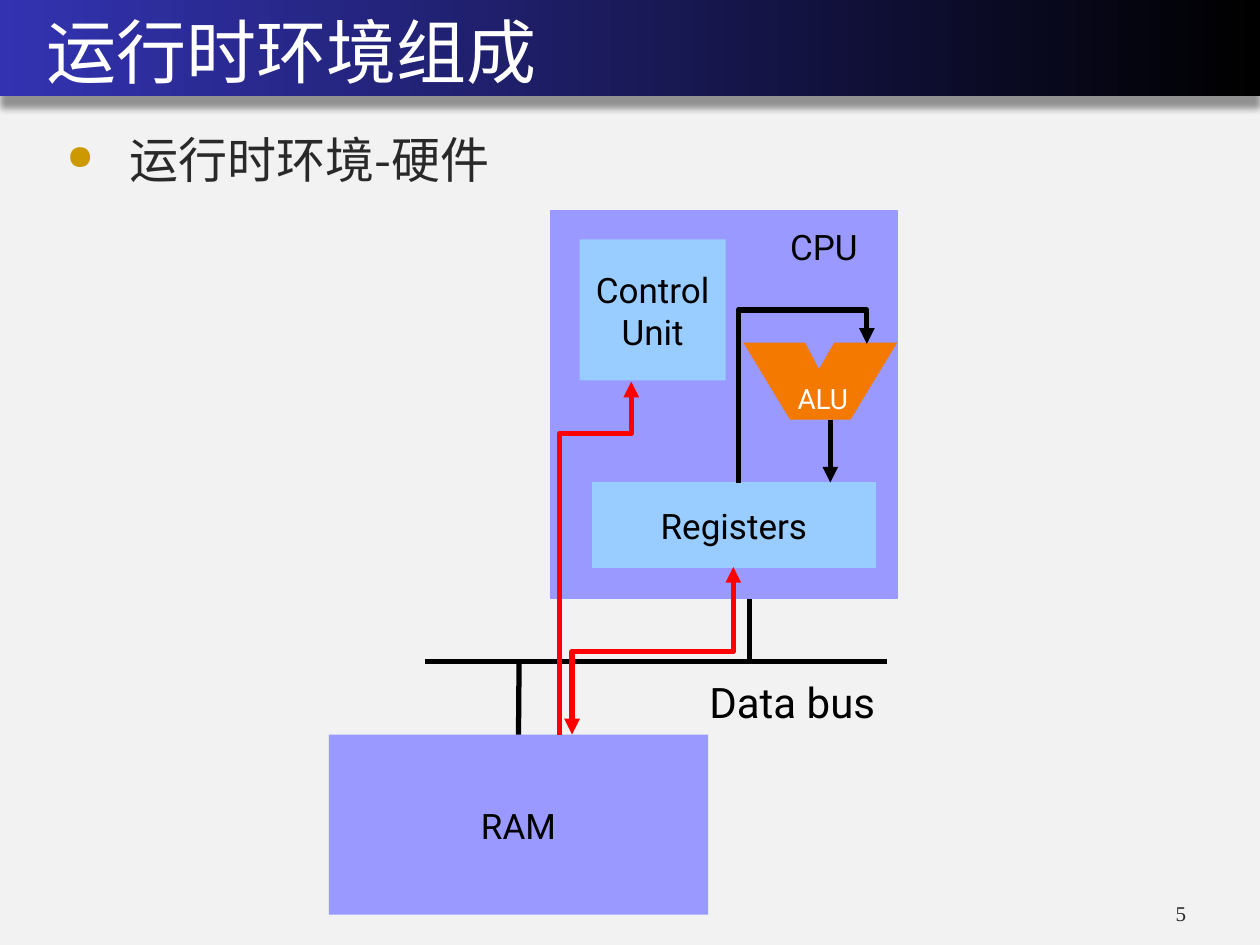
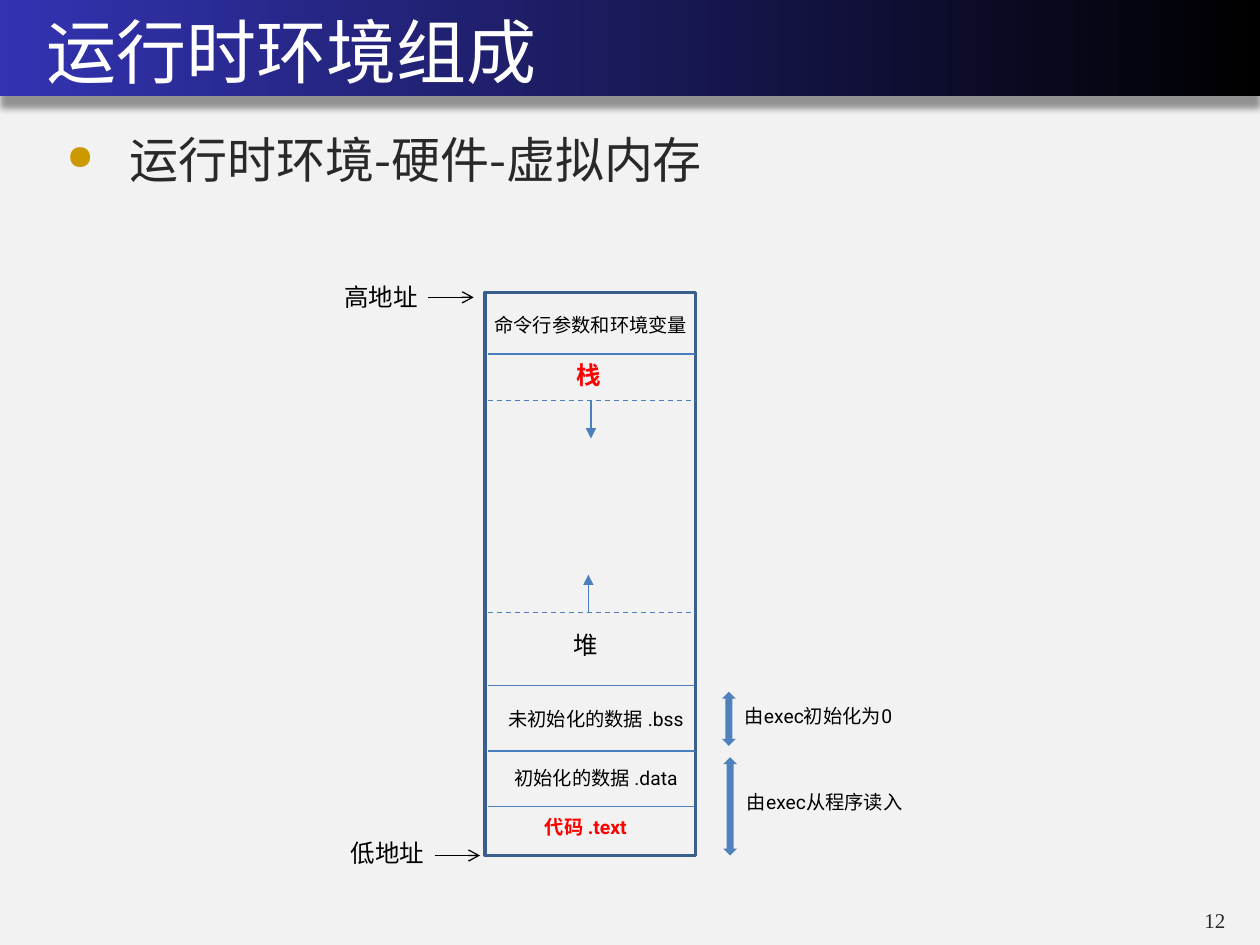
from lxml import etree
from pptx import Presentation
from pptx.dml.color import RGBColor
from pptx.enum.dml import MSO_LINE
from pptx.enum.shapes import MSO_CONNECTOR, MSO_SHAPE
from pptx.enum.text import MSO_ANCHOR, PP_ALIGN
from pptx.oxml.ns import qn
from pptx.util import Inches, Pt

RECT, UP_DOWN = MSO_SHAPE.RECTANGLE, MSO_SHAPE.UP_DOWN_ARROW
STRAIGHT, DASH = MSO_CONNECTOR.STRAIGHT, MSO_LINE.DASH
LEFT, CENTER = PP_ALIGN.LEFT, PP_ALIGN.CENTER
TOP, MIDDLE = MSO_ANCHOR.TOP, MSO_ANCHOR.MIDDLE

HAN, LATIN, SERIF = "Noto Sans CJK SC", "Roboto", "Times New Roman"
PAPER, INK, GOLD, NAVY = "F2F2F2", "292929", "CC9900", "3333B2"
BLACK, WHITE, RED, ORANGE = "000000", "FFFFFF", "FF0000", "F47900"
LILAC, SKY = "9999FF", "99CCFF"
FRAME, RULE, SPAN = "3A5F8C", "4B7EBC", "4F81BD"


def color(code):
    return RGBColor.from_string(code)


def add_xml(parent, tag, **attrs):
    return etree.SubElement(parent, qn(tag), attrs)


def write(shape, words, size=20, font=LATIN, ink=BLACK, bold=False,
          align=CENTER, anchor=TOP, inset=0.01, bullet=False, lead=None):
    frame = shape.text_frame
    frame.word_wrap = True
    frame.vertical_anchor = anchor
    frame.margin_left = frame.margin_right = frame.margin_bottom = 0
    frame.margin_top = Inches(inset)
    for i, line in enumerate(words.split("\n")):
        para = frame.add_paragraph() if i else frame.paragraphs[0]
        para.alignment = align
        if lead:
            para.line_spacing = Pt(lead)
        if bullet:
            add_bullet(para)
        run = para.add_run()
        run.text = line
        run.font.size, run.font.bold, run.font.name = Pt(size), bold, font
        run.font.color.rgb = color(ink)
        add_xml(run.font._element, "a:ea", typeface=HAN)


def add_bullet(para):
    props = para._p.get_or_add_pPr()
    props.set("marL", str(Inches(0.5)))
    props.set("indent", str(-Inches(0.5)))
    add_xml(add_xml(props, "a:buClr"), "a:srgbClr", val=GOLD)
    add_xml(props, "a:buSzPct", val="70000")
    add_xml(props, "a:buChar", char="●")


def label(slide, words, x, y, w, h, **style):
    box = slide.shapes.add_textbox(Inches(x), Inches(y), Inches(w), Inches(h))
    write(box, words, **style)


def block(slide, x, y, w, h, fill=None, edge=None, width=0.72, kind=RECT):
    shape = slide.shapes.add_shape(
        kind, Inches(x), Inches(y), Inches(w), Inches(h))
    shape.shadow.inherit = False
    paint(shape, fill, edge, width)
    return shape


def paint(shape, fill, edge, width):
    if fill:
        shape.fill.solid()
        shape.fill.fore_color.rgb = color(fill)
    else:
        shape.fill.background()
    if edge:
        shape.line.color.rgb = color(edge)
        shape.line.width = Pt(width)
    else:
        shape.line.fill.background()


def add_tips(shape, head, tail):
    """Put arrowheads at the start (head) and the end (tail) of a line."""
    outline = shape._element.spPr.find(qn("a:ln"))
    for tag, tip in (("a:headEnd", head), ("a:tailEnd", tail)):
        if tip:
            add_xml(outline, tag, type=tip)


def wire(slide, x1, y1, x2, y2, ink=BLACK, width=3, dash=None,
         head=None, tail=None):
    line = slide.shapes.add_connector(
        STRAIGHT, Inches(x1), Inches(y1), Inches(x2), Inches(y2))
    line.line.color.rgb = color(ink)
    line.line.width = Pt(width)
    if dash:
        line.line.dash_style = dash
    add_tips(line, head, tail)
    add_xml(line._element.spPr, "a:effectLst")
    return line


def outline(slide, x, y, points, fill=None, edge=None, head=None, tail=None):
    """Draw points relative to x, y: closed if filled, else an open route."""
    spots = [(Inches(x + dx), Inches(y + dy)) for dx, dy in points]
    pen = slide.shapes.build_freeform(*spots[0])
    pen.add_line_segments(spots[1:], close=bool(fill))
    shape = pen.convert_to_shape()
    shape.shadow.inherit = False
    paint(shape, fill, edge, 3)
    add_tips(shape, head, tail)


def add_band(slide, w, h):
    band = block(slide, 0, 0, w, h)
    band.fill.gradient()
    band.fill.gradient_angle = 180
    for stop, code in zip(band.fill.gradient_stops, (BLACK, NAVY)):
        stop.color.rgb = color(code)
    effects = band._element.spPr.find(qn("a:effectLst"))
    shade = add_xml(effects, "a:outerShdw", blurRad=str(Pt(4)),
                    dist=str(Pt(7)), dir="5400000", rotWithShape="0")
    tint = add_xml(shade, "a:srgbClr", val=BLACK)
    add_xml(tint, "a:alpha", val="40000")


def add_page(deck, topic, number, x, y):
    """Add a slide with the band, title, topic and number at x, y."""
    slide = deck.slides.add_slide(deck.slide_layouts[6])
    slide.background.fill.solid()
    slide.background.fill.fore_color.rgb = color(PAPER)
    add_band(slide, 10, 0.76)
    label(slide, "运行时环境组成", 0.37, 0.06, 4.47, 0.69,
          size=40, font=HAN, ink=WHITE, align=LEFT)
    label(slide, topic, 0.53, 0.92, 9.34, 0.58, size=28, font=HAN,
          ink=INK, align=LEFT, inset=0.11, bullet=True)
    label(slide, number, x, y, 0.3, 0.17, size=12, font=SERIF,
          ink=INK, align=LEFT, inset=0, lead=12.2)
    return slide


def add_cpu(slide, x, y):
    block(slide, x, y, 2.75, 3.08, LILAC, LILAC)
    unit = block(slide, x + 0.23, y + 0.23, 1.16, 1.12, SKY)
    write(unit, "Control\nUnit", anchor=MIDDLE)
    label(slide, "CPU", x + 1.9, y + 0.11, 0.62, 0.36, align=LEFT)
    store = block(slide, x + 0.33, y + 2.16, 2.25, 0.67, SKY, SKY)
    write(store, "Registers", anchor=MIDDLE)
    add_alu(slide, x + 1.53, y + 1.05)
    wire(slide, x + 2.22, y + 1.66, x + 2.22, y + 2.16, tail="triangle")
    outline(slide, x, y, [(1.49, 2.16), (1.49, 0.79), (2.51, 0.79),
                          (2.51, 1.06)], edge=BLACK, tail="triangle")


def add_alu(slide, x, y):
    outline(slide, x, y, [(0, 0), (0.49, 0), (0.6, 0.21), (0.72, 0),
                          (1.22, 0), (0.85, 0.61), (0.37, 0.61)], ORANGE)
    label(slide, "ALU", x + 0.43, y + 0.3, 0.5, 0.29,
          size=16, ink=WHITE, align=LEFT)


def add_bus(slide, x, y, ram):
    wire(slide, x, y, x + 3.67, y)
    wire(slide, x + 2.58, y, x + 2.58, y - 0.5)
    drop = wire(slide, x + 0.75, y + 0.58, x + 0.75, y)
    drop.begin_connect(ram, 0)
    label(slide, "Data bus", x + 2.26, y + 0.11, 1.45, 0.43,
          size=24, align=LEFT)


def add_routes(slide, x, y):
    """Draw the red data routes that leave the top of the RAM at x, y."""
    outline(slide, x, y, [(0, 0), (0, -2.39), (0.57, -2.39), (0.57, -2.8)],
            edge=RED, tail="triangle")
    outline(slide, x, y, [(0.1, 0), (0.1, -0.66), (1.38, -0.66),
                          (1.38, -1.33)],
            edge=RED, head="triangle", tail="triangle")


def add_memory(slide, x, y, w, h):
    block(slide, x, y, w, h, edge=FRAME, width=2)
    for dy, dash in ((0.49, None), (0.86, DASH), (2.54, DASH),
                     (3.12, None), (3.64, None), (4.08, None)):
        wire(slide, x + 0.02, y + dy, x + w, y + dy, RULE, 0.75, dash)
    wire(slide, x + 0.84, y + 0.86, x + 0.84, y + 1.16, RULE, 0.75,
         tail="triangle")
    wire(slide, x + 0.82, y + 2.24, x + 0.82, y + 2.54, RULE, 0.75,
         head="triangle")
    for words, mid, dy, size, ink in (
            ("命令行参数和环境变量", 0.84, 0.16, 11, BLACK),
            ("栈", 0.82, 0.53, 14, RED),
            ("堆", 0.8, 2.67, 14, BLACK),
            ("未初始化的数据 .bss", 0.88, 3.28, 11, BLACK),
            ("初始化的数据 .data", 0.88, 3.75, 11, BLACK),
            ("代码 .text", 0.8, 4.14, 11, RED)):
        label(slide, words, x + mid - 1, y + dy, 2, 0.25,
              size=size, ink=ink, bold=ink == RED)


def add_ends(slide, x, y):
    """Mark the high and the low address of the memory."""
    for words, dx, dy, drop in (("高地址", 0, 0, 0.13),
                                ("低地址", 0.05, 4.41, 0.15)):
        label(slide, words, x + dx, y + dy, 0.97, 0.25, size=14)
        left, mid = x + dx + 0.86, y + dy + drop
        wire(slide, left, mid, left + 0.36, mid, width=0.75, tail="arrow")


def add_spans(slide, x, y):
    for words, dx, dy, h, mid, drop in (
            ("由exec初始化为0", 0, 0, 0.43, 0.77, 0.09),
            ("由exec从程序读入", 0.01, 0.52, 0.78, 0.82, 0.77)):
        block(slide, x + dx, y + dy, 0.11, h, SPAN, kind=UP_DOWN)
        label(slide, words, x + mid - 0.78, y + drop, 1.55, 0.2, size=11)


def add_hardware(deck):
    slide = add_page(deck, "运行时环境-硬件", "5", 9.33, 7.18)
    ram = block(slide, 2.61, 5.83, 3.01, 1.43, LILAC)
    write(ram, "RAM", anchor=MIDDLE)
    add_cpu(slide, 4.37, 1.67)
    add_bus(slide, 3.37, 5.25, ram)
    add_routes(slide, 4.44, 5.83)


def add_virtual(deck):
    slide = add_page(deck, "运行时环境-硬件-虚拟内存", "12", 9.56, 7.23)
    add_memory(slide, 3.85, 2.32, 1.67, 4.47)
    add_ends(slide, 2.54, 2.23)
    add_spans(slide, 5.73, 5.49)


def main():
    deck = Presentation()
    deck.slide_width, deck.slide_height = Inches(10), Inches(7.5)
    add_hardware(deck)
    add_virtual(deck)
    deck.save("out.pptx")


if __name__ == "__main__":
    main()
